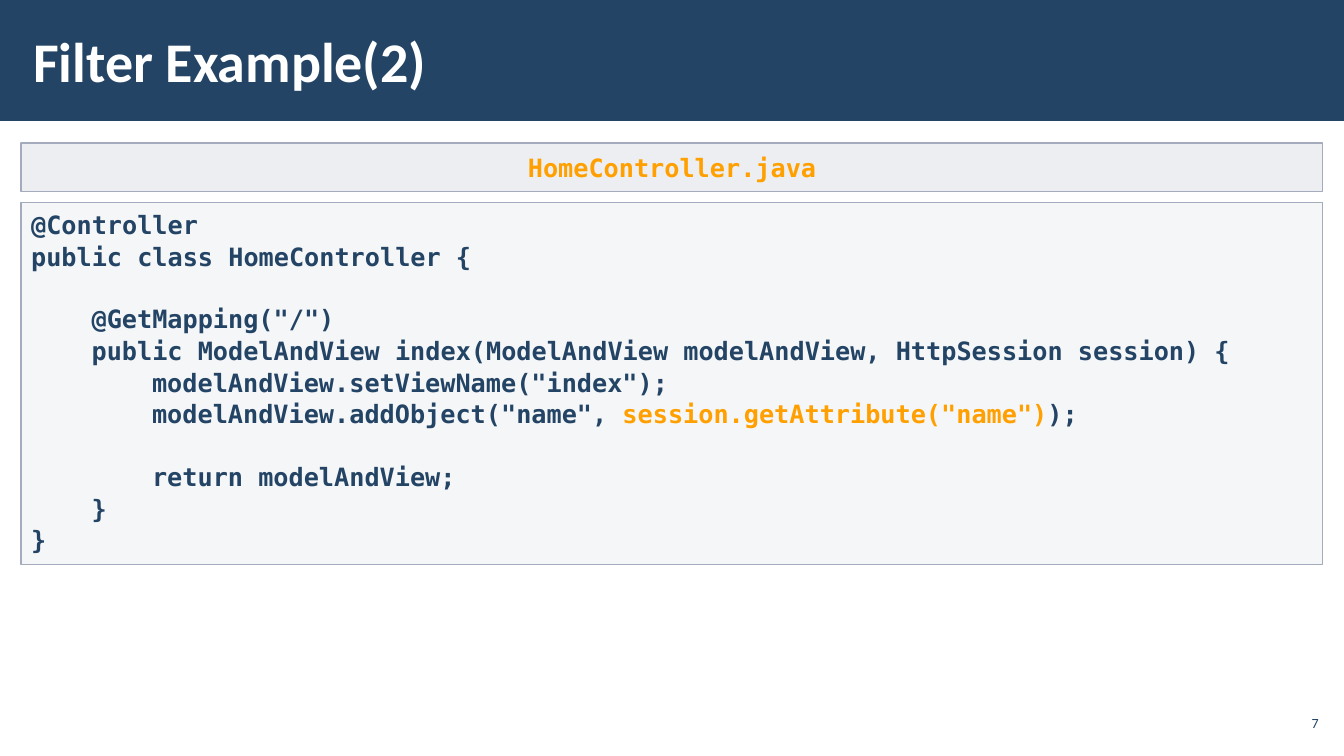
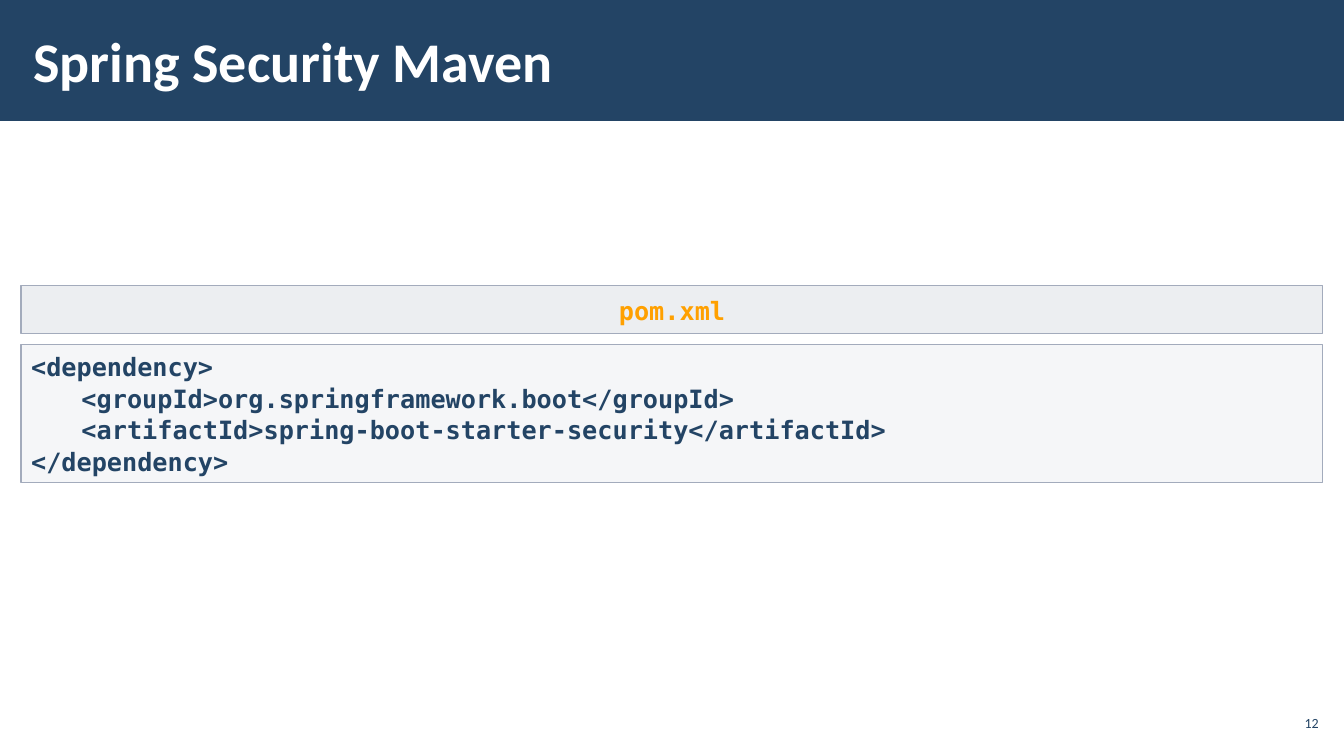
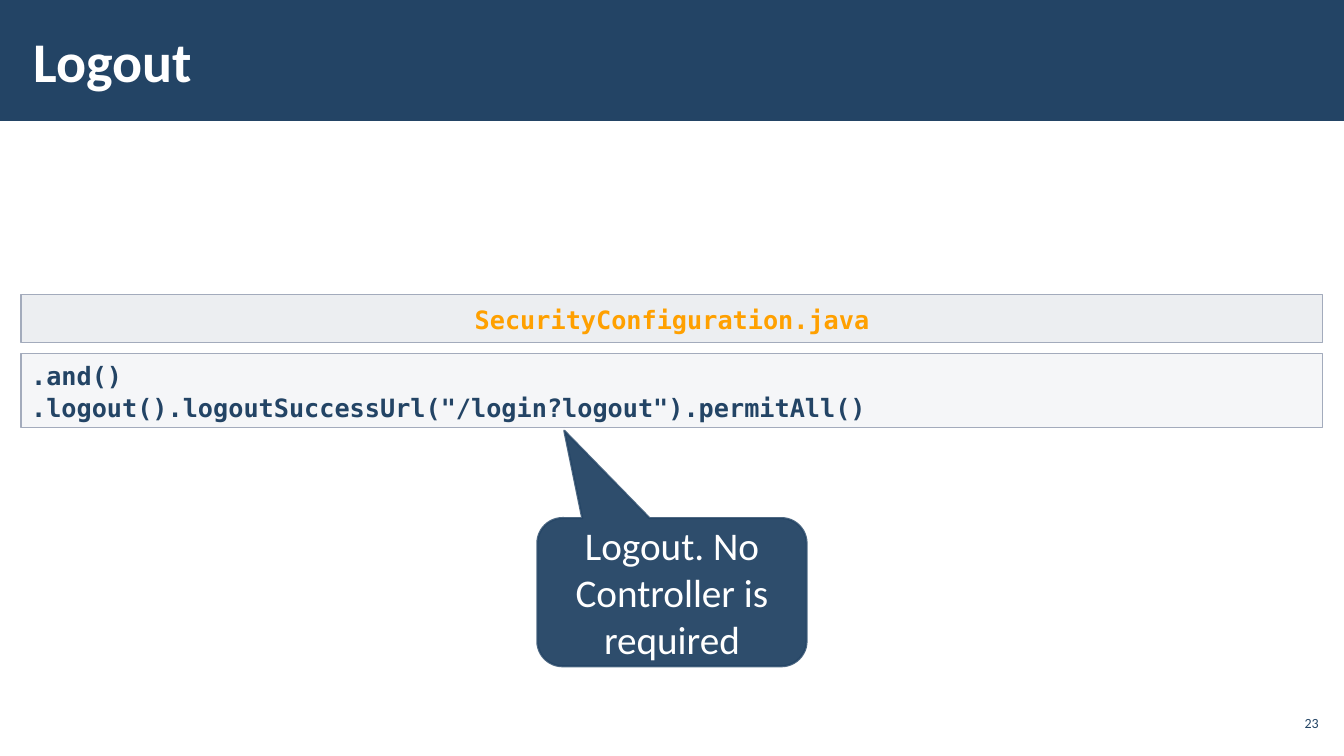
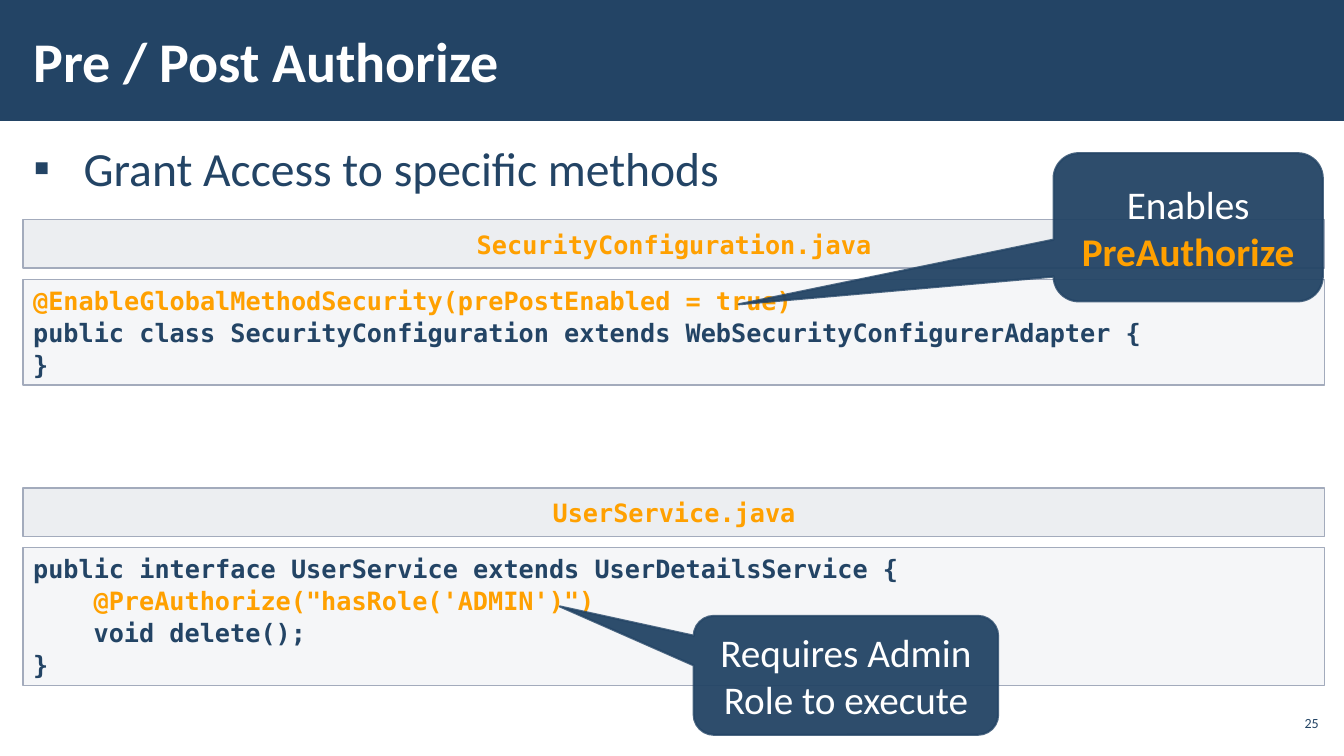
"""Builds four slides on filters and security."""
from dataclasses import dataclass

from lxml import etree
from pptx import Presentation
from pptx.dml.color import RGBColor
from pptx.enum.shapes import MSO_SHAPE
from pptx.enum.text import MSO_ANCHOR, MSO_AUTO_SIZE, PP_ALIGN
from pptx.oxml.ns import qn
from pptx.presentation import Presentation as Deck
from pptx.shapes.autoshape import Shape
from pptx.slide import Slide
from pptx.text.text import TextFrame
from pptx.util import Emu, Pt

RECT = MSO_SHAPE.RECTANGLE
BUBBLE = MSO_SHAPE.ROUNDED_RECTANGULAR_CALLOUT
TOP, MIDDLE = MSO_ANCHOR.TOP, MSO_ANCHOR.MIDDLE
LEFT, CENTER, RIGHT = PP_ALIGN.LEFT, PP_ALIGN.CENTER, PP_ALIGN.RIGHT
FIXED = MSO_AUTO_SIZE.NONE

SCALE = 9144
WIDE, HIGH = 1333, 750
NAVY, GOLD, WHITE = "234465", "FFA000", "FFFFFF"
PALE, EDGE = "C2C7D2", "A3ABBC"
SANS, MONO = "Calibri", "DejaVu Sans Mono"
SPACING = 1.05
ROW = 31.7
STEP = 60
BAR = 48
DROP = 59


@dataclass(frozen=True)
class Box:
    """A place on the slide in px."""
    left: int
    top: int
    width: int
    height: int


@dataclass(frozen=True)
class Run:
    """A stretch of text in one colour."""
    text: str
    hue: str = NAVY
    bold: bool = False


@dataclass(frozen=True)
class Line:
    """A paragraph, its indent in px and whether a row is skipped before it."""
    runs: tuple[Run, ...]
    dent: int = 0
    skip: bool = False


@dataclass(frozen=True)
class Look:
    """Font, size and layout of a text."""
    font: str
    size: int
    align: PP_ALIGN = LEFT
    anchor: MSO_ANCHOR = MIDDLE
    side: int = 10
    edge: int = 5
    space: float = 1.0


@dataclass(frozen=True)
class Panel:
    """A file name above its code."""
    left: int
    top: int
    name: str
    lines: tuple[Line, ...]


@dataclass(frozen=True)
class Note:
    """A callout with its tip, relative to its size."""
    box: Box
    tip: tuple[float, float]
    runs: tuple[Run, ...]


@dataclass(frozen=True)
class Page:
    """The content of one slide."""
    title: str
    number: int
    panels: tuple[Panel, ...]
    notes: tuple[Note, ...] = ()
    bullet: str = ""


TITLE = Look(SANS, 40, side=12, edge=4)
FOOT = Look(SANS, 10, RIGHT, side=4, edge=4)
LIST = Look(SANS, 34, anchor=TOP, side=12, edge=4, space=SPACING)
HEAD = Look(MONO, 18, CENTER, TOP, edge=8, space=SPACING)
CODE = Look(MONO, 18, anchor=TOP, space=SPACING)
TALK = Look(SANS, 28, CENTER)


def px(count: float) -> Emu:
    """Turn px into EMU."""
    return Emu(round(count * SCALE))


def color(code: str) -> RGBColor:
    """Turn a hex string into a colour."""
    return RGBColor.from_string(code)


def place(shape: Shape, box: Box) -> None:
    """Move and size a shape."""
    shape.left, shape.top = px(box.left), px(box.top)
    shape.width, shape.height = px(box.width), px(box.height)


def write(frame: TextFrame, lines: tuple[Line, ...], look: Look) -> None:
    """Fill a frame with lines, run by run."""
    frame.word_wrap, frame.auto_size = True, FIXED
    frame.vertical_anchor = look.anchor
    frame.margin_left = frame.margin_right = px(look.side)
    frame.margin_top = frame.margin_bottom = px(look.edge)
    for spot, line in enumerate(lines):
        par = frame.add_paragraph() if spot else frame.paragraphs[0]
        par.alignment, par.line_spacing = look.align, look.space
        if line.skip:
            par.space_before = Pt(22)
        if line.dent:
            par._p.get_or_add_pPr().set("marL", str(px(line.dent)))
        for part in line.runs:
            run = par.add_run()
            run.text = part.text
            run.font.name, run.font.size = look.font, Pt(look.size)
            run.font.bold = part.bold
            run.font.color.rgb = color(part.hue)


def draw(slide: Slide, kind: MSO_SHAPE, box: Box, fill: str, line: str,
         weight: float, clear: tuple[int, int] = (100, 100)) -> Shape:
    """Add a shape; clear holds the fill and line opacity in percent."""
    shape = slide.shapes.add_shape(kind, 0, 0, 0, 0)
    place(shape, box)
    shape.shadow.inherit = False
    shape.fill.solid()
    shape.fill.fore_color.rgb = color(fill)
    shape.line.color.rgb = color(line)
    shape.line.width = Pt(weight)
    paints = shape.element.spPr.iter(qn("a:srgbClr"))
    for paint, part in zip(list(paints), clear):
        if part < 100:
            etree.SubElement(paint, qn("a:alpha")).set("val", str(part * 1000))
    return shape


def add_panel(slide: Slide, panel: Panel) -> None:
    """Add a code box and its file name bar."""
    rows = len(panel.lines) + sum(line.skip for line in panel.lines)
    box = Box(panel.left, panel.top + DROP, 1291, round(10 + ROW * rows))
    body = draw(slide, RECT, box, PALE, EDGE, 1, (15, 100))
    write(body.text_frame, panel.lines, CODE)
    bar = draw(slide, RECT, Box(panel.left, panel.top, 1291, BAR),
               PALE, EDGE, 1, (30, 100))
    write(bar.text_frame, (Line((Run(panel.name, GOLD, True),)),), HEAD)


def add_note(slide: Slide, note: Note) -> None:
    """Add a callout."""
    shape = draw(slide, BUBBLE, note.box, NAVY, NAVY, 1.5, (95, 80))
    for spot, value in enumerate((*note.tip, 0.17)):
        shape.adjustments[spot] = value
    write(shape.text_frame, (Line(note.runs),), TALK)


def add_list(slide: Slide, text: str) -> None:
    """Fill the body placeholder with a bullet."""
    body = slide.placeholders[1]
    place(body, Box(21, 131, 1292, 569))
    write(body.text_frame, (Line((Run(text),), 50),), LIST)
    par = body.text_frame.paragraphs[0]
    par.space_before = par.space_after = Pt(6)
    props = par._p.get_or_add_pPr()
    props.set("indent", str(-px(50)))
    etree.SubElement(props, qn("a:buChar")).set("char", "▪")


def add_page(deck: Deck, page: Page) -> Slide:
    """Add one slide."""
    slide = deck.slides.add_slide(deck.slide_layouts[1 if page.bullet else 5])
    title = slide.shapes.title
    place(title, Box(21, 11, 1040, 97))
    write(title.text_frame, (Line((Run(page.title, WHITE, True),)),), TITLE)
    if page.bullet:
        add_list(slide, page.bullet)
    foot = slide.shapes.add_textbox(px(1265), px(700), px(47), px(34))
    write(foot.text_frame, (Line((Run(str(page.number)),)),), FOOT)
    for panel in page.panels:
        add_panel(slide, panel)
    for note in page.notes:
        add_note(slide, note)
    return slide


def add_band(deck: Deck, slide: Slide) -> None:
    """Put the title band on the master, behind all else."""
    band = draw(slide, RECT, Box(0, 0, WIDE, 120), NAVY, NAVY, 1)
    band.line.fill.background()
    deck.slide_master.shapes.element.insert(2, band.element)


def code(text: str, dent: int = 0, skip: bool = False,
         hue: str = NAVY) -> Line:
    """Make a line of code in one colour."""
    return Line((Run(text, hue, True),), dent, skip)


HOME = (
    code("@Controller"),
    code("public class HomeController {"),
    code('@GetMapping("/")', STEP, True),
    code("public ModelAndView index(ModelAndView modelAndView, "
         "HttpSession session) {", STEP),
    code('modelAndView.setViewName("index");', 2 * STEP),
    Line((Run('modelAndView.addObject("name", ', NAVY, True),
          Run('session.getAttribute("name")', GOLD, True),
          Run(");", NAVY, True)), 2 * STEP),
    code("return modelAndView;", 2 * STEP, True),
    code("}", STEP),
    code("}"),
)
MAVEN = (
    code("<dependency>"),
    code("<groupId>org.springframework.boot</groupId>", 50),
    code("<artifactId>spring-boot-starter-security</artifactId>", 50),
    code("</dependency>"),
)
LOGOUT = (
    code(".and()"),
    code('.logout().logoutSuccessUrl("/login?logout").permitAll()'),
)
SETUP = (
    code("@EnableGlobalMethodSecurity(prePostEnabled = true)", hue=GOLD),
    code("public class SecurityConfiguration extends "
         "WebSecurityConfigurerAdapter {"),
    code("}"),
)
USER = (
    code("public interface UserService extends UserDetailsService {"),
    code("@PreAuthorize(\"hasRole('ADMIN')\")", STEP, hue=GOLD),
    code("void delete();", STEP),
    code("}"),
)
PAGES = (
    Page("Filter Example(2)", 7,
         (Panel(21, 142, "HomeController.java", HOME),)),
    Page("Spring Security Maven", 12, (Panel(21, 283, "pom.xml", MAVEN),)),
    Page("Logout", 23,
         (Panel(21, 292, "SecurityConfiguration.java", LOGOUT),),
         (Note(Box(533, 514, 267, 147), (-0.4, -1.09),
               (Run("Logout. No Controller is required", WHITE),)),)),
    Page("Pre / Post Authorize", 25,
         (Panel(23, 218, "SecurityConfiguration.java", SETUP),
          Panel(23, 484, "UserService.java", USER)),
         (Note(Box(1045, 152, 267, 147), (-1.67, 0.52),
               (Run("Enables ", WHITE), Run("PreAuthorize", GOLD, True))),
          Note(Box(688, 611, 302, 118), (-0.94, -0.58),
               (Run("Requires Admin Role to execute", WHITE),))),
         "Grant Access to specific methods"),
)


def main() -> None:
    """Build and save the deck."""
    deck = Presentation()
    deck.slide_width, deck.slide_height = px(WIDE), px(HIGH)
    slides = [add_page(deck, page) for page in PAGES]
    add_band(deck, slides[0])
    deck.save("out.pptx")


if __name__ == "__main__":
    main()
